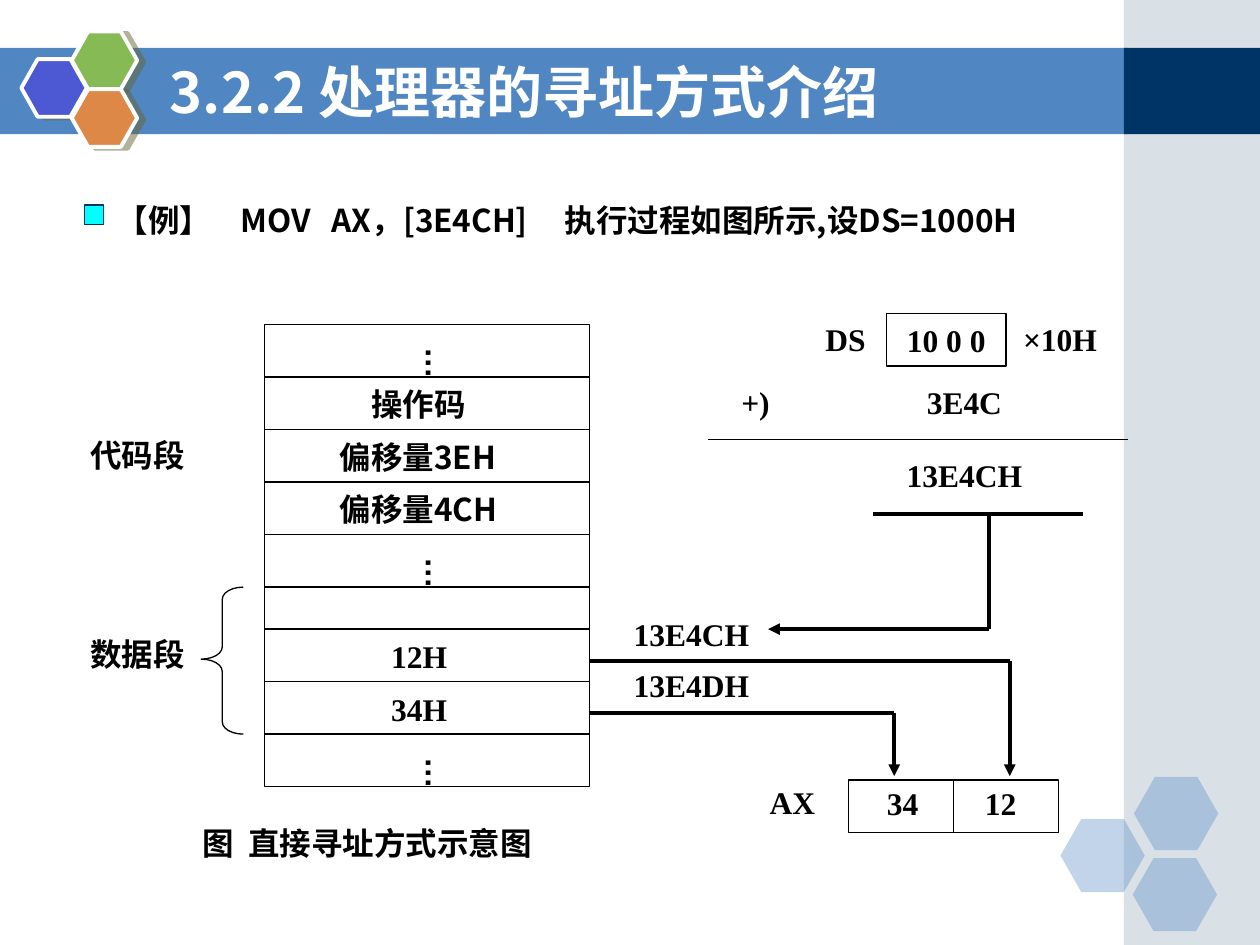
from itertools import accumulate

from lxml import etree
from pptx import Presentation
from pptx.dml.color import RGBColor
from pptx.enum import shapes, text
from pptx.oxml.ns import qn
from pptx.util import Pt

BLACK = RGBColor(0x00, 0x00, 0x00)
WHITE = RGBColor(0xFF, 0xFF, 0xFF)
BLUE = RGBColor(0x50, 0x86, 0xC2)
NAVY = RGBColor(0x00, 0x33, 0x66)
MIST = RGBColor(0xA0, 0xB5, 0xC4)
CYAN = RGBColor(0x00, 0xFF, 0xFF)
VIOLET = RGBColor(0x4C, 0x59, 0xD2)
GREEN = RGBColor(0x85, 0xBA, 0x54)
ORANGE = RGBColor(0xDE, 0x88, 0x48)
SHADE = RGBColor(0x66, 0x66, 0x33)
SANS = "Noto Sans CJK SC"
SERIF = "Times New Roman"
KIND = shapes.MSO_SHAPE
LEFT, MID = text.PP_ALIGN.LEFT, text.PP_ALIGN.CENTER
TALL = 28.8


def sub(node, tag, **attrs):
    """Append a DrawingML child element and return it."""
    return etree.SubElement(node, qn(tag), attrs)


def shape(slide, kind, box, fill=None, line=None, width=0.75, alpha=None):
    """Add a preset shape without the theme's shadow."""
    item = slide.shapes.add_shape(kind, *map(Pt, box))
    item.shadow.inherit = False
    if fill is None:
        item.fill.background()
    else:
        item.fill.solid()
        item.fill.fore_color.rgb = fill
    if alpha:
        color = item._element.spPr.find(qn("a:solidFill"))[0]
        sub(color, "a:alpha", val=str(alpha * 1000))
    if line is None:
        item.line.fill.background()
    else:
        item.line.color.rgb = line
        item.line.width = Pt(width)
    return item


def label(slide, box, words, font=SERIF, size=18, color=BLACK, align=LEFT,
          anchor=text.MSO_ANCHOR.TOP, tabs=()):
    """Add a bold one-line text box."""
    item = slide.shapes.add_textbox(*map(Pt, box))
    frame = item.text_frame
    frame.word_wrap = True
    frame.vertical_anchor = anchor
    frame.text = words
    para = frame.paragraphs[0]
    para.alignment = align
    if tabs:
        stops = sub(para._p.get_or_add_pPr(), "a:tabLst")
        for stop in tabs:
            sub(stops, "a:tab", pos=str(Pt(stop)), algn="l")
    for run in para.runs:
        run.font.name = font
        run.font.size = Pt(size)
        run.font.bold = True
        run.font.color.rgb = color
        sub(run._r.rPr, "a:ea", typeface=SANS if font == SERIF else font)
    return item


def route(slide, points, width=0.75, arrow=False):
    """Join the points with straight lines, the last one optionally an arrow."""
    for start, end in zip(points, points[1:]):
        item = slide.shapes.add_connector(
            shapes.MSO_CONNECTOR.STRAIGHT, *map(Pt, start + end))
        item.line.color.rgb = BLACK
        item.line.width = Pt(width)
        sub(item._element.spPr, "a:effectLst")
    if arrow:
        sub(item.line._get_or_add_ln(), "a:tailEnd", type="triangle")


def frame(slide, wide, high):
    """Draw the title band, the side strip and the corner hexagons."""
    side, top, band = wide - 77.8, 27.4, 49.3
    shape(slide, KIND.RECTANGLE, (0, top, side + 2, band), BLUE)
    shape(slide, KIND.RECTANGLE, (side, 0, wide - side, high), MIST, alpha=40)
    shape(slide, KIND.RECTANGLE, (side, top, wide - side, band), NAVY)
    for x, y in ((606, 468), (648, 444), (647.3, 490.3)):
        cell = shape(slide, KIND.HEXAGON, (x, y, 48.2, 41.8), BLUE, alpha=35)
        cell.adjustments[0] = 0.286


def badge(slide, x, y):
    """Draw the three shadowed hexagons beside the title."""
    for dx, dy, color in ((0, 15.8, VIOLET), (28.8, 0, GREEN), (28.8, 33, ORANGE)):
        cell = shape(slide, KIND.HEXAGON, (x + dx, y + dy, 37.4, 33), color, WHITE, 2.25)
        cell.adjustments[0] = 0.283
        effect = cell._element.spPr.find(qn("a:effectLst"))
        cast = sub(effect, "a:outerShdw", dist=str(Pt(4.1)), dir="840000",
                   algn="ctr", rotWithShape="0")
        tint = sub(cast, "a:srgbClr", val=str(SHADE))
        sub(tint, "a:alpha", val="50000")


def lead(slide, x, y):
    """Write the example line with its square bullet."""
    label(slide, (x + 11.5, y, 600, TALL),
          "【例】\tMOV\tAX，[3E4CH]\t执行过程如图所示,设DS=1000H",
          SANS, tabs=(70.8, 122.8, 256))
    shape(slide, KIND.RECTANGLE, (x, y + 5.6, 11, 11), CYAN, NAVY)


def dots(slide, x, y):
    """Write a vertical ellipsis."""
    item = label(slide, (x, y, 36, 24), "…", "Arial")
    area = item.text_frame
    area.margin_left = area.margin_right = Pt(3.6)
    area.margin_top = area.margin_bottom = Pt(7.2)
    area._txBody.bodyPr.set("vert", "eaVert")


def memory(slide, x, y, wide):
    """Draw the memory column with its segment labels and caption."""
    rows = (("…", 78, SERIF), ("操作码", 54, SERIF), ("偏移量3EH", 36, SANS),
            ("偏移量4CH", 36, SANS), ("…", 78, SERIF), ("", 0, SERIF),
            ("12H", 65.5, SERIF), ("34H", 65.5, SERIF), ("…", 78, SERIF))
    steps = [30 if words else 24 for words, _, _ in rows]
    tops = list(accumulate(steps, initial=y))
    shape(slide, KIND.RECTANGLE, (x, y, wide, sum(steps)), line=BLACK)
    for top in tops[1:-1]:
        route(slide, ((x, top), (x + wide, top)))
    for (words, dx, font), top in zip(rows, tops):
        if words == "…":
            dots(slide, x + dx, top + 6)
        elif words:
            label(slide, (x + dx, top + 1, 130, TALL), words, font)
    brace = shape(slide, KIND.LEFT_BRACE, (x - 36, tops[5], 24, tops[8] - tops[5]),
                  line=BLACK)
    brace.adjustments[0], brace.adjustments[1] = 0.29, 0.49
    for words, top in (("代码段", tops[2]), ("数据段", tops[6])):
        label(slide, (x - 114.5, top, 84, TALL), words, align=MID)
    label(slide, (x - 42.5, tops[-1] + 18, 264, TALL), "图\t直接寻址方式示意图",
          SANS, tabs=(26.4,))


def adder(slide, x, y):
    """Write the physical address sum and its rules."""
    box = (x + 102, y, 68.4, 30)
    shape(slide, KIND.RECTANGLE, box, line=BLACK)
    label(slide, box, "10 0 0", align=MID, anchor=text.MSO_ANCHOR.MIDDLE)
    for words, dx, dy in (("DS", 60, 0), ("×10H", 173, 0), ("+)", 12, 36),
                          ("3E4C", 118, 36), ("13E4CH", 106.5, 78)):
        label(slide, (x + dx, y + dy, 90, TALL), words)
    route(slide, ((x, y + 72), (x + 240, y + 72)))
    route(slide, ((x + 94.5, y + 114.5), (x + 214.5, y + 114.5)), 2.25)


def wires(slide, x, y):
    """Draw the address and data arrows with the address labels."""
    label(slide, (x + 18, y - 29.5, 90, TALL), "13E4CH")
    label(slide, (x + 18, y - 0.7, 90, TALL), "13E4DH")
    turn, tip = y - 18, y + 66
    route(slide, ((x + 228, y - 83.5), (x + 228, turn), (x + 102, turn)), 2.25, True)
    for dx, dy in ((240, 0), (174, 30)):
        route(slide, ((x, y + dy), (x + dx, y + dy), (x + dx, tip)), 2.25, True)


def register(slide, x, y):
    """Draw the AX register with its high and low bytes."""
    half, high = 60, 30
    label(slide, (x - 52, y - 2, 58, TALL), "AX")
    shape(slide, KIND.RECTANGLE, (x, y, 2 * half, high), line=BLACK)
    route(slide, ((x + half, y), (x + half, y + high)))
    for words, dx in (("34", 1), ("12", half - 3)):
        label(slide, (x + dx, y - 2, half, high), words, align=MID,
              anchor=text.MSO_ANCHOR.MIDDLE)


def main():
    """Build and save the slide."""
    deck = Presentation()
    deck.slide_width, deck.slide_height = Pt(720), Pt(540)
    slide = deck.slides.add_slide(deck.slide_layouts[6])
    frame(slide, 720, 540)
    badge(slide, 12.2, 18)
    label(slide, (90, 30, 528, 44.6), "3.2.2 处理器的寻址方式介绍", SANS, 32, WHITE,
          anchor=text.MSO_ANCHOR.MIDDLE)
    lead(slide, 48.2, 111.6)
    memory(slide, 151, 185.5, 186)
    adder(slide, 404.5, 179.2)
    wires(slide, 337, 377.5)
    register(slide, 484.8, 445.7)
    deck.save("out.pptx")


if __name__ == "__main__":
    main()
